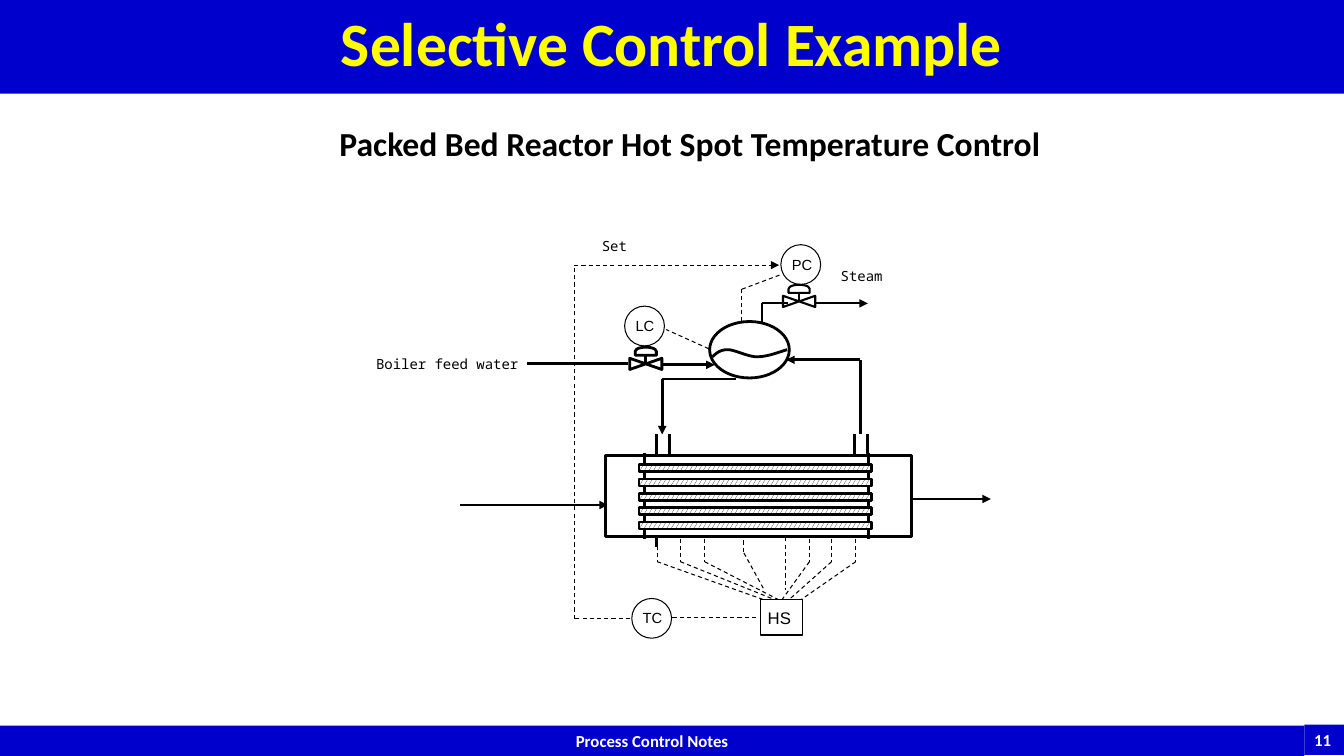
import pptx
import pptx.util
import pptx.dml.color
import pptx.enum.dml
import pptx.enum.shapes
import pptx.enum.text
import pptx.oxml

Pt = pptx.util.Pt
RGB = pptx.dml.color.RGBColor
SHAPE = pptx.enum.shapes.MSO_SHAPE
ALIGN = pptx.enum.text.PP_ALIGN
ANCHOR = pptx.enum.text.MSO_ANCHOR
BLUE, YELLOW = RGB(0, 0, 0xCC), RGB(0xFF, 0xFF, 0)
BLACK, WHITE = RGB(0, 0, 0), RGB(0xFF, 0xFF, 0xFF)
THIN, MEDIUM, THICK = 0.75, 1.5, 2

# Banners: text, box, size, colour, alignment, anchor
BANNERS = [
    ("Process Control Notes", (0, 518.4, 931.7, 21.6), 12, WHITE, ALIGN.CENTER, ANCHOR.TOP),
    ("11", (931.7, 517.7, 28.8, 21.6), 12, WHITE, ALIGN.LEFT, ANCHOR.TOP),
    ("Selective Control Example", (0, 0, 960, 67), 44, YELLOW, ALIGN.CENTER, ANCHOR.MIDDLE),
]
SUBTITLE = ("Packed Bed Reactor Hot Spot Temperature Control", (235.4, 84.2, 552.2, 36))
# Stream labels: text, box
LABELS = [
    ("Set", (426.3, 167.8, 45.4, 18)),
    ("Boiler feed water", (268.6, 254.2, 108.7, 31.7)),
    ("Steam", (600.5, 190.8, 63.4, 20)),
]
# Controllers: name, centre
CONTROLLERS = [("PC", (572, 189)), ("LC", (460.4, 232.9)), ("TC", (465.5, 441.7))]
CIRCLE = 28.4
SELECTOR = ("HS", (542.9, 428.4, 30.2, 25.2))
# Valves: centre, line width
VALVES = [((570.8, 215.3), MEDIUM), ((461.3, 259.9), THICK)]
DRUM = (506.9, 229.7, 56.9, 40.3)
LEVEL_START = (509, 254.9)
LEVEL_CURVES = [
    ((511.9, 252), (514.8, 249.8), (519.8, 249.8)),
    ((524.9, 249.8), (534.2, 254.9), (540.7, 254.9)),
    ((547.9, 254.9), (555.1, 252), (562.3, 249.8)),
]
# Pipes: points, line width, arrow at the end
PIPES = [
    ([(328.3, 360.7), (434.2, 360.7)], THICK, True),
    ([(650.9, 356.4), (707.8, 356.4)], THICK, True),
    ([(544.3, 229.7), (544.3, 216.7), (563, 216.7)], MEDIUM, False),
    ([(582.5, 216.7), (619.9, 216.7)], MEDIUM, True),
    ([(376.6, 259.9), (448.6, 259.9)], THICK, False),
    ([(472.3, 260.6), (510.5, 260.6)], THICK, True),
    ([(525.6, 270.7), (473, 270.7), (473, 310.3)], THICK, True),
    ([(614.5, 310.3), (614.5, 257), (561.6, 257)], THICK, True),
]
# Nozzles: x, lower end
NOZZLES = [(468.7, 391), (478.1, 324), (610.6, 324), (619.9, 370.8)]
NOZZLE_TOP = 310.3
# Signals: points, arrow at the end
SIGNALS = [
    ([(506.2, 249.1), (475.9, 235.4)], False),
    ([(529.9, 229.7), (529.9, 206.6), (558.7, 195.8)], False),
    ([(540, 441.4), (480.2, 441.4)], False),
    ([(450, 442), (410.2, 442), (410.2, 189.4), (556.6, 189.4)], True),
    ([(531.4, 380.9), (531.4, 395), (545.8, 421.2)], False),
    ([(560.9, 383.8), (560.9, 421.2)], False),
]
# Temperature taps: x at the reactor, x at the selector
TAPS = [(469.4, 545), (486, 553), (503.3, 555.8), (578.2, 558.7), (594, 563.8), (611.3, 572.4)]
TAP_TOP, TAP_BEND, TAP_END = 374.4, 401.2, 428.2
REACTOR = (432.7, 325.4, 218.2, 57.6)
TUBE_SHEETS, SHEET_SPAN = (460.1, 620.6), (323.3, 385.2)
TUBE, TUBE_COUNT, TUBE_STEP = (456.5, 331.9, 166.3, 5), 5, 10.26

prs = pptx.Presentation()
prs.slide_width, prs.slide_height = Pt(960), Pt(540)
s = prs.slides.add_slide(prs.slide_layouts[6])


def style(sp, fill=None, width=None):
    """Give a shape its fill and black outline, without shadow."""
    sp.shadow.inherit = False
    if fill is None:
        sp.fill.background()
    else:
        sp.fill.solid()
        sp.fill.fore_color.rgb = fill
    if width is None:
        sp.line.fill.background()
    else:
        sp.line.color.rgb = BLACK
        sp.line.width = Pt(width)
    return sp


def add_shape(kind, box, fill=None, width=None):
    """Add a preset shape."""
    return style(s.shapes.add_shape(kind, *map(Pt, box)), fill, width)


def write(sp, text, size, font, color=BLACK, bold=False, align=ALIGN.LEFT,
          insets=(0, 0, 0, 0), anchor=ANCHOR.TOP, spacing=1):
    """Put one formatted paragraph in a shape."""
    tf = sp.text_frame
    left, top, right, bottom = map(Pt, insets)
    frame = dict(word_wrap=True, vertical_anchor=anchor, margin_left=left,
                 margin_top=top, margin_right=right, margin_bottom=bottom)
    for name, value in frame.items():
        setattr(tf, name, value)
    p = tf.paragraphs[0]
    p.alignment, p.line_spacing = align, spacing
    r = p.add_run()
    r.text = text
    for name, value in dict(name=font, size=Pt(size), bold=bold).items():
        setattr(r.font, name, value)
    r.font.color.rgb = color


def add_text(text, box, size, font, **look):
    """Add a text box."""
    write(s.shapes.add_textbox(*map(Pt, box)), text, size, font, **look)


def add_run_of_lines(points, width, arrow=False, dashed=False):
    """Join points with connectors, with an optional arrowhead at the end."""
    for start, end in zip(points, points[1:]):
        c = s.shapes.add_connector(pptx.enum.shapes.MSO_CONNECTOR.STRAIGHT,
                                   *map(Pt, start + end))
        c.line.color.rgb = BLACK
        c.line.width = Pt(width)
        if dashed:
            c.line.dash_style = pptx.enum.dml.MSO_LINE.DASH
        sp_pr = c._element.spPr
        pptx.oxml.xmlchemy.OxmlElement
        sp_pr.append(pptx.oxml.xmlchemy.OxmlElement("a:effectLst"))
    if arrow:
        head = pptx.oxml.xmlchemy.OxmlElement("a:tailEnd")
        head.set("type", "triangle")
        c.line._get_or_add_ln().append(head)


def add_valve(center, width):
    """Add a control valve: body, stem and domed actuator."""
    x, y = center
    for kind, dy, w, h in ((SHAPE.FLOWCHART_COLLATE, 0, 8, 23),
                           (SHAPE.FLOWCHART_DELAY, -9, 5.8, 15.1)):
        add_shape(kind, (x - w / 2, y + dy - h / 2, w, h), width=width).rotation = 270
    add_run_of_lines([(x, y), (x, y - 5.8)], width)


def curve_points(start, curves, steps=12):
    """Sample a chain of cubic curves."""
    points = [start]
    for b, c, d in curves:
        a = points[-1]
        for i in range(1, steps + 1):
            t = i / steps
            u = 1 - t
            points.append(tuple(u**3 * a[k] + 3 * u * u * t * b[k] + 3 * u * t * t * c[k]
                                + t**3 * d[k] for k in (0, 1)))
    return points


for text, box, size, color, align, anchor in BANNERS:
    write(add_shape(SHAPE.RECTANGLE, box, BLUE), text, size, "Calibri", color, True,
          align, (7.2, 3.6, 7.2, 3.6), anchor, 0.9 if size == 44 else 1)
add_text(*SUBTITLE, 24, "Calibri", bold=True, insets=(7.2, 3.6, 7.2, 3.6))

for points, width, arrow in PIPES:
    add_run_of_lines(points, width, arrow)
for x, bottom in NOZZLES:
    add_run_of_lines([(x, NOZZLE_TOP), (x, bottom)], THICK)
for points, arrow in SIGNALS:
    add_run_of_lines(points, THIN, arrow, dashed=True)
for x, end in TAPS:
    add_run_of_lines([(x, TAP_TOP), (x, TAP_BEND), (end, TAP_END)], THIN, dashed=True)

add_shape(SHAPE.OVAL, DRUM, width=THICK)
level = [tuple(map(Pt, point)) for point in curve_points(LEVEL_START, LEVEL_CURVES)]
builder = s.shapes.build_freeform(*level[0])
builder.add_line_segments(level[1:], close=False)
style(builder.convert_to_shape(), width=THICK)
for center, width in VALVES:
    add_valve(center, width)

add_shape(SHAPE.RECTANGLE, REACTOR, WHITE, THICK)
for x in TUBE_SHEETS:
    add_run_of_lines([(x, SHEET_SPAN[0]), (x, SHEET_SPAN[1])], THICK)
left, top, width, height = TUBE
for i in range(TUBE_COUNT):
    sp = add_shape(SHAPE.RECTANGLE, (left, top + i * TUBE_STEP, width, height), WHITE, THICK)
    sp.fill.patterned()
    sp.fill.pattern = pptx.enum.dml.MSO_PATTERN.LARGE_CONFETTI
    sp.fill.fore_color.rgb, sp.fill.back_color.rgb = BLACK, WHITE

for name, (x, y) in CONTROLLERS:
    add_shape(SHAPE.OVAL, (x - CIRCLE / 2, y - CIRCLE / 2, CIRCLE, CIRCLE), width=THIN)
    add_text(name, (x - 8.4, y - 6.5, 21.6, 13.7), 10.5, "Arial", insets=(2, 0, 0, 0))
name, box = SELECTOR
write(add_shape(SHAPE.RECTANGLE, box, width=THIN), name, 12, "Arial",
      insets=(5.5, 2, 0, 2), anchor=ANCHOR.MIDDLE)
for text, box in LABELS:
    inset = (3.6, 2, 3.6, 2) if text == "Set" else (0, 0, 0, 0)
    add_text(text, box, 10, "Noto Sans Mono", insets=inset)

prs.save("out.pptx")
